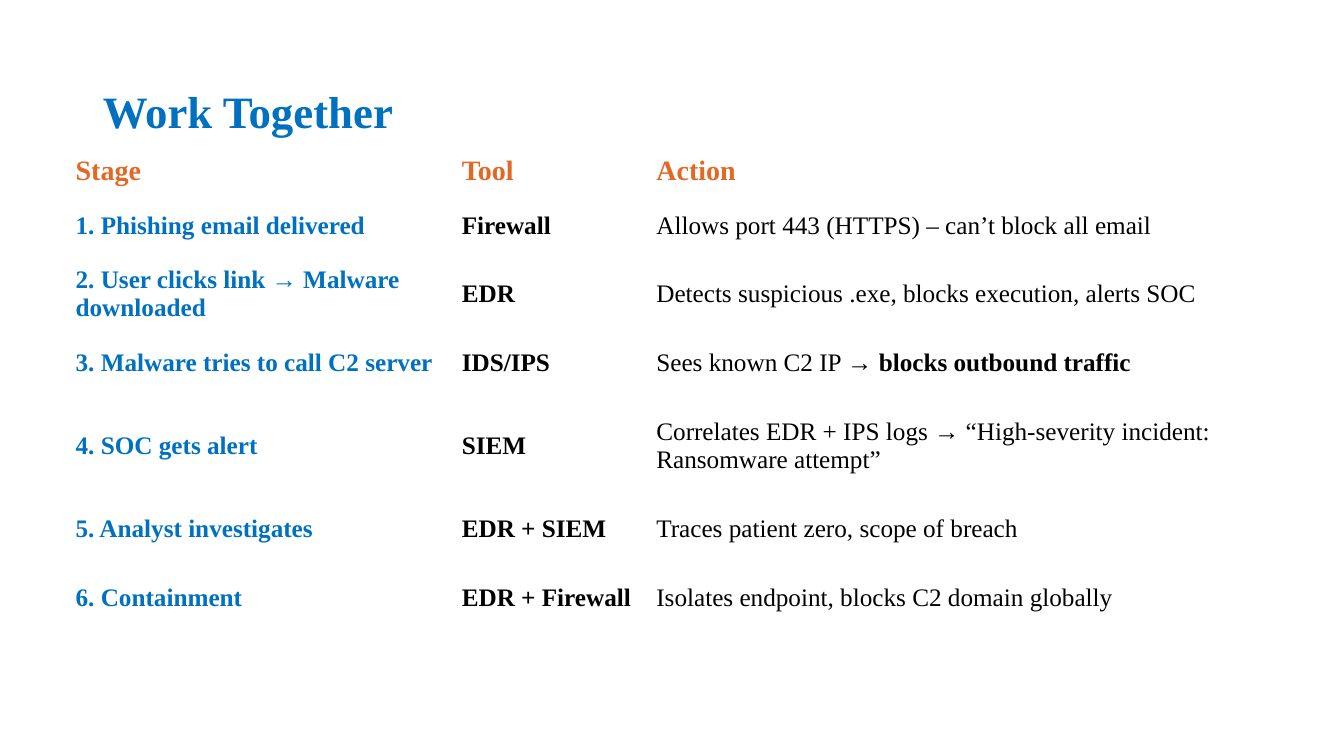
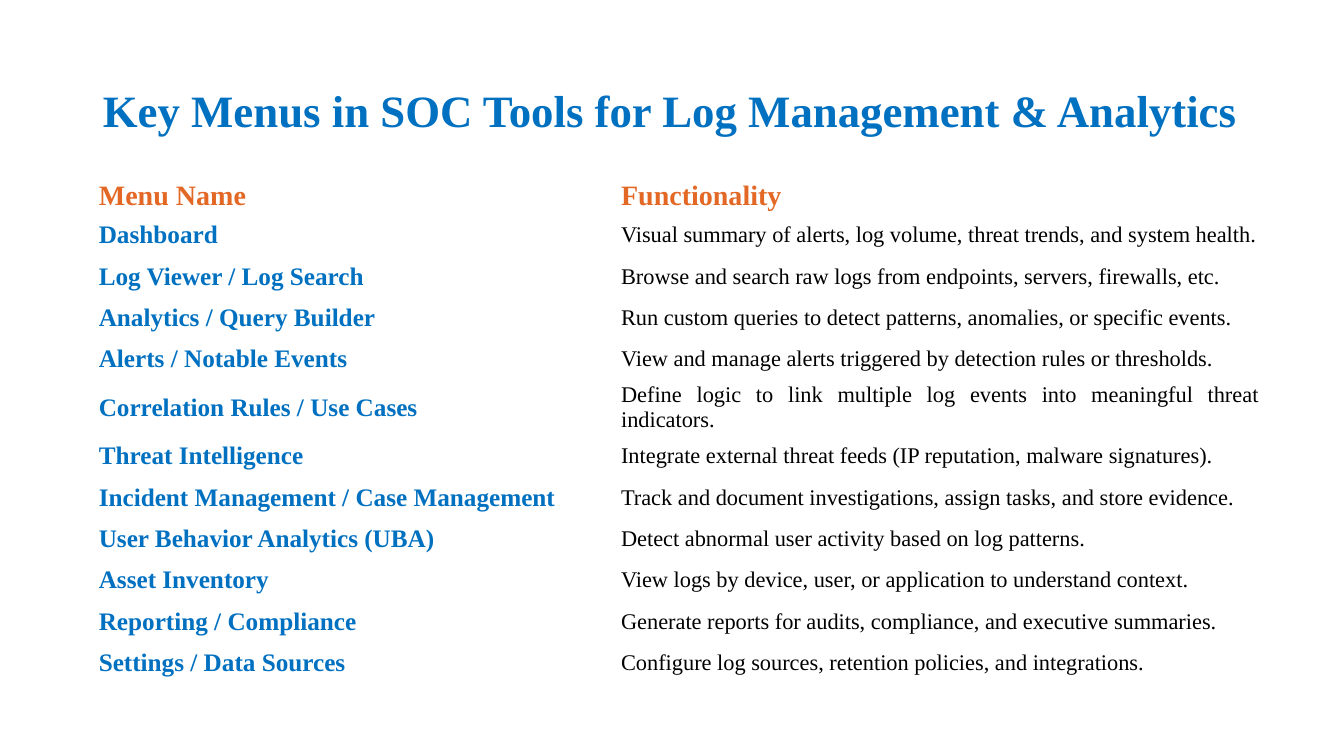
from pptx import Presentation
from pptx.dml.color import RGBColor
from pptx.enum.text import MSO_ANCHOR, MSO_AUTO_SIZE, PP_ALIGN
from pptx.util import Inches, Pt

MIDDLE = MSO_ANCHOR.MIDDLE
NO_AUTOFIT = MSO_AUTO_SIZE.NONE
LEFT, JUSTIFY = PP_ALIGN.LEFT, PP_ALIGN.JUSTIFY

# Shared style
FONT = "Times New Roman"
BLUE, ORANGE, BLACK = "0070C0", "E46825", "000000"
TITLE_SIZE, HEADER_SIZE, LABEL_SIZE = 32, 20, 18
TITLE_ONLY = 5

# Each row: stage, tool, action; an action may be split into (text, bold) runs
STAGES = [
    ("Stage", "Tool", "Action"),
    ("1. Phishing email delivered", "Firewall",
     "Allows port 443 (HTTPS) – can’t block all email"),
    ("2. User clicks link → Malware downloaded", "EDR",
     "Detects suspicious .exe, blocks execution, alerts SOC"),
    ("3. Malware tries to call C2 server", "IDS/IPS",
     [("Sees known C2 IP → ", False), ("blocks outbound traffic", True)]),
    ("4. SOC gets alert", "SIEM",
     "Correlates EDR + IPS logs → “High-severity incident: Ransomware attempt”"),
    ("5. Analyst investigates", "EDR + SIEM", "Traces patient zero, scope of breach"),
    ("6. Containment", "EDR + Firewall", "Isolates endpoint, blocks C2 domain globally"),
]

MENUS = [
    ("Menu Name", "Functionality"),
    ("Dashboard", "Visual summary of alerts, log volume, threat trends, and system health."),
    ("Log Viewer / Log Search",
     "Browse and search raw logs from endpoints, servers, firewalls, etc."),
    ("Analytics / Query Builder",
     "Run custom queries to detect patterns, anomalies, or specific events."),
    ("Alerts / Notable Events",
     "View and manage alerts triggered by detection rules or thresholds."),
    ("Correlation Rules / Use Cases",
     "Define logic to link multiple log events into meaningful threat indicators."),
    ("Threat Intelligence",
     "Integrate external threat feeds (IP reputation, malware signatures)."),
    ("Incident Management / Case Management",
     "Track and document investigations, assign tasks, and store evidence."),
    ("User Behavior Analytics (UBA)", "Detect abnormal user activity based on log patterns."),
    ("Asset Inventory", "View logs by device, user, or application to understand context."),
    ("Reporting / Compliance",
     "Generate reports for audits, compliance, and executive summaries."),
    ("Settings / Data Sources", "Configure log sources, retention policies, and integrations."),
]


def color(hex_value):
    return RGBColor.from_string(hex_value)


def add_span(para, text, size, hex_value, bold):
    span = para.add_run()
    span.text = text
    span.font.name = FONT
    span.font.size = Pt(size)
    span.font.bold = bold
    span.font.color.rgb = color(hex_value)


def add_titled_page(deck, title, top):
    page = deck.slides.add_slide(deck.slide_layouts[TITLE_ONLY])
    box = page.shapes.title
    box.left, box.top = Inches(0.92), Inches(top)
    box.width, box.height = Inches(11.5), Inches(1.45)
    frame = box.text_frame
    frame.word_wrap = True
    frame.auto_size = NO_AUTOFIT
    frame.vertical_anchor = MIDDLE
    para = frame.paragraphs[0]
    para.alignment = LEFT
    para.line_spacing = 0.9
    add_span(para, title, TITLE_SIZE, BLUE, True)
    return page


def fill_cell(cell, content, style, align, margins):
    size, hex_value, bold = style
    cell.fill.background()
    cell.vertical_anchor = MIDDLE
    cell.margin_left = cell.margin_right = Inches(margins[0])
    cell.margin_top = cell.margin_bottom = Inches(margins[1])
    para = cell.text_frame.paragraphs[0]
    para.alignment = align
    spans = [(content, bold)] if isinstance(content, str) else content
    for text, span_bold in spans:
        add_span(para, text, size, hex_value, span_bold)


def add_plain_table(page, left, top, widths, heights, rows, styles, align, margins):
    """Borderless table; styles holds (size, colour, bold) for each body column."""
    table = page.shapes.add_table(
        len(rows), len(widths), Inches(left), Inches(top),
        Inches(sum(widths)), Inches(sum(heights))).table
    table.first_row = table.horz_banding = False
    for column, width in zip(table.columns, widths):
        column.width = Inches(width)
    for row, height in zip(table.rows, heights):
        row.height = Inches(height)
    header_styles = [(HEADER_SIZE, ORANGE, True)] * len(widths)
    for row_index, contents in enumerate(rows):
        row_styles = styles if row_index else header_styles
        for column_index, content in enumerate(contents):
            fill_cell(table.cell(row_index, column_index), content,
                      row_styles[column_index], align, margins)


def build_work_together(deck):
    page = add_titled_page(deck, "Work Together", 0.41)
    styles = [(LABEL_SIZE, BLUE, True), (LABEL_SIZE, BLACK, True), (LABEL_SIZE, BLACK, False)]
    heights = [0.39] + [0.68] * 3 + [0.97] + [0.68] * 2
    add_plain_table(page, 0.65, 1.49, [3.83, 1.93, 5.74], heights,
                    STAGES, styles, LEFT, (0.1, 0.05))


def build_key_menus(deck):
    page = add_titled_page(
        deck, "Key Menus in SOC Tools for Log Management & Analytics", 0.4)
    styles = [(LABEL_SIZE, BLUE, True), (16, BLACK, False)]
    heights = [0.23] + [0.41] * (len(MENUS) - 1)
    add_plain_table(page, 0.92, 1.76, [5.18, 6.45], heights,
                    MENUS, styles, JUSTIFY, (0.06, 0.03))


def main():
    deck = Presentation()
    deck.slide_width, deck.slide_height = Inches(13.33), Inches(7.5)
    build_work_together(deck)
    build_key_menus(deck)
    deck.save("out.pptx")


if __name__ == "__main__":
    main()
